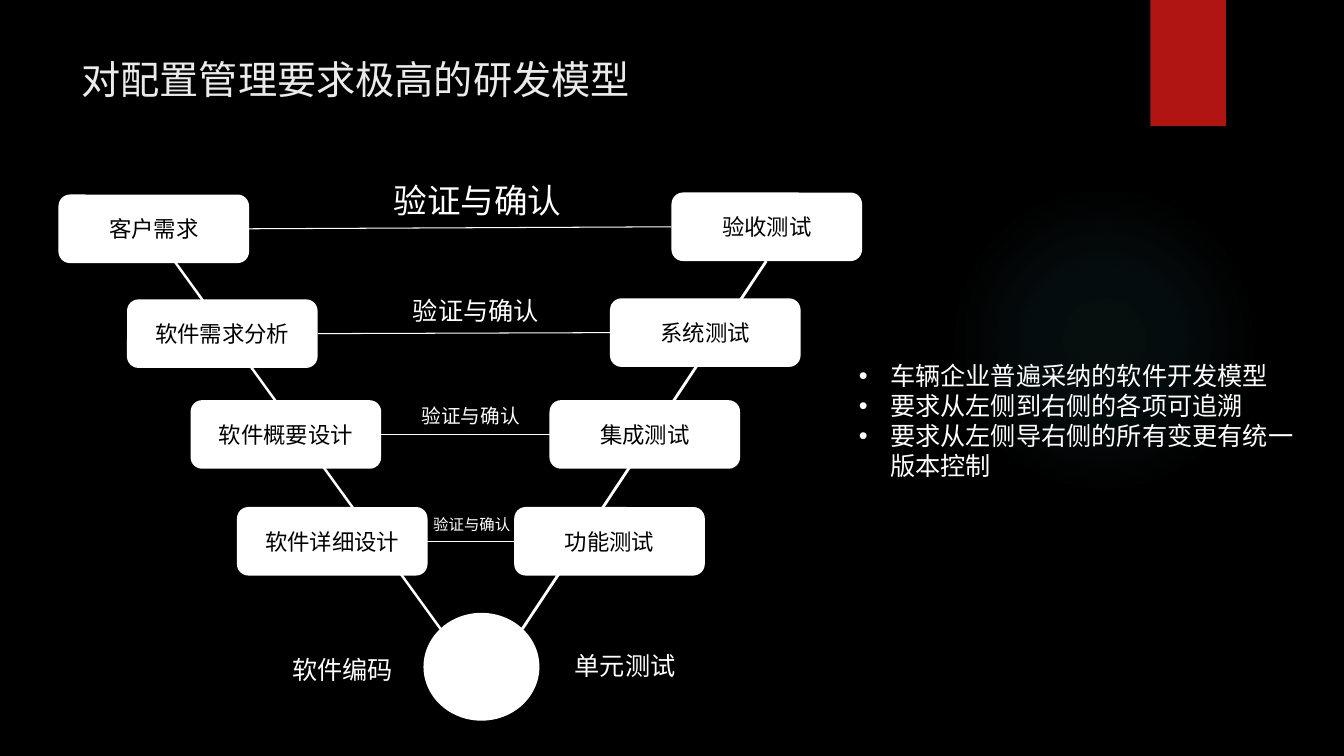
from dataclasses import dataclass
from typing import Any

from lxml.etree import SubElement
from pptx import Presentation
from pptx.dml.color import RGBColor
from pptx.enum.shapes import MSO_CONNECTOR, MSO_SHAPE
from pptx.enum.text import MSO_ANCHOR, PP_ALIGN
from pptx.oxml import parse_xml
from pptx.oxml.ns import nsdecls, qn
from pptx.util import Inches, Pt

FONT = "Noto Sans CJK SC"
BLACK, WHITE, RED, TITLE_GRAY, GLOW = "000000", "FFFFFF", "B01513", "EBEBEB", "50B9C1"
NODE_WIDTH, NODE_HEIGHT = 1.89, 0.68
LINE_PITCH = 1.19
CHECK = "验证与确认"


@dataclass(frozen=True)
class Box:
    left: float
    top: float
    width: float
    height: float

    def lengths(self) -> list[int]:
        return [Inches(v) for v in (self.left, self.top, self.width, self.height)]


@dataclass(frozen=True)
class Node:
    text: str
    left: float
    top: float

    @property
    def middle(self) -> float:
        return self.top + NODE_HEIGHT / 2


@dataclass(frozen=True)
class Level:
    """One row of the V: development stage, matching test, and the label between."""
    stage: Node
    test: Node
    check_box: Box
    check_size: float


@dataclass(frozen=True)
class Link:
    start: tuple[float, float]
    end: tuple[float, float]
    weight: float


LEVELS = [
    Level(Node("客户需求", 0.58, 1.93), Node("验收测试", 6.66, 1.91),
          Box(3.59, 1.74, 2.29, 0.5), 24),
    Level(Node("软件需求分析", 1.26, 2.97), Node("系统测试", 6.05, 2.96),
          Box(3.85, 2.88, 1.74, 0.4), 18),
    Level(Node("软件概要设计", 1.89, 3.97), Node("集成测试", 5.45, 3.97),
          Box(3.8, 3.96, 1.74, 0.34), 14),
    Level(Node("软件详细设计", 2.35, 5.03), Node("功能测试", 5.1, 5.03),
          Box(3.81, 5.06, 1.74, 0.29), 11),
]
V_SIDES = [Link((7.6, 2.59), (5.18, 6.24), 2), Link((1.52, 2.3), (4.37, 6.24), 1.75)]
CODING_LABELS = {"软件编码": Box(2.6, 6.44, 1.6, 0.4), "单元测试": Box(5.4, 6.41, 1.6, 0.4)}
REMARKS = [
    "车辆企业普遍采纳的软件开发模型",
    "要求从左侧到右侧的各项可追溯",
    "要求从左侧导右侧的所有变更有统一版本控制",
]


def rgb(color: str) -> RGBColor:
    return RGBColor.from_string(color)


def set_formats(target: Any, formats: dict[str, Any]) -> None:
    for name, value in formats.items():
        setattr(target, name, value)


def write(paragraph: Any, text: str, size: float, color: str) -> None:
    run = paragraph.add_run()
    run.text = text
    set_formats(run.font, {"size": Pt(size), "name": FONT})
    run.font.color.rgb = rgb(color)
    SubElement(run._r.get_or_add_rPr(), qn("a:ea"), typeface=FONT)


def add_block(slide: Any, kind: MSO_SHAPE, box: Box, fill: str) -> Any:
    block = slide.shapes.add_shape(kind, *box.lengths())
    block.shadow.inherit = False
    block.fill.solid()
    block.fill.fore_color.rgb = rgb(fill)
    block.line.fill.background()
    return block


def add_node(slide: Any, node: Node) -> None:
    box = Box(node.left, node.top, NODE_WIDTH, NODE_HEIGHT)
    frame = add_block(slide, MSO_SHAPE.ROUNDED_RECTANGLE, box, WHITE).text_frame
    set_formats(frame, {"word_wrap": True, "vertical_anchor": MSO_ANCHOR.MIDDLE})
    frame.paragraphs[0].alignment = PP_ALIGN.CENTER
    write(frame.paragraphs[0], node.text, 16, BLACK)


def add_text(slide: Any, box: Box, lines: list[str], size: float, color: str = WHITE,
             align: PP_ALIGN = PP_ALIGN.CENTER, bulleted: bool = False) -> None:
    frame = slide.shapes.add_textbox(*box.lengths()).text_frame
    set_formats(frame, {"word_wrap": True, "vertical_anchor": MSO_ANCHOR.TOP})
    for index, line in enumerate(lines):
        paragraph = frame.add_paragraph() if index else frame.paragraphs[0]
        set_formats(paragraph, {"alignment": align, "line_spacing": Pt(size * LINE_PITCH)})
        if bulleted:
            properties = paragraph._p.get_or_add_pPr()
            properties.set("marL", str(Inches(0.31)))
            properties.set("indent", str(-Inches(0.31)))
            SubElement(properties, qn("a:buFont"), typeface="Arial")
            SubElement(properties, qn("a:buChar"), char="•")
        write(paragraph, line, size, color)


def add_link(slide: Any, link: Link) -> None:
    ends = [Inches(v) for v in (*link.start, *link.end)]
    connector = slide.shapes.add_connector(MSO_CONNECTOR.STRAIGHT, *ends)
    connector.line.width = Pt(link.weight)
    connector.line.color.rgb = rgb(WHITE)
    SubElement(connector._element.spPr, qn("a:effectLst"))


def add_glow(slide: Any, box: Box) -> None:
    """Draw a faint circle that fades out from its centre."""
    glow = add_block(slide, MSO_SHAPE.OVAL, box, GLOW)
    stops = "".join(
        f'<a:gs pos="{position * 1000}"><a:srgbClr val="{GLOW}">'
        f'<a:alpha val="{alpha * 1000}"/></a:srgbClr></a:gs>'
        for position, alpha in ((0, 7), (36, 6), (69, 0))
    )
    gradient = parse_xml(
        f'<a:gradFill {nsdecls("a")} rotWithShape="1"><a:gsLst>{stops}</a:gsLst>'
        '<a:path path="circle"><a:fillToRect l="50000" t="50000" r="50000" b="50000"/>'
        '</a:path></a:gradFill>'
    )
    properties = glow._element.spPr
    properties.replace(properties.find(qn("a:solidFill")), gradient)


def main() -> None:
    deck = Presentation()
    set_formats(deck, {"slide_width": Inches(13.33), "slide_height": Inches(7.5)})
    slide = deck.slides.add_slide(deck.slide_layouts[6])
    slide.background.fill.solid()
    slide.background.fill.fore_color.rgb = rgb(BLACK)

    add_glow(slide, Box(9.41, 1.83, 3.08, 3.08))
    add_block(slide, MSO_SHAPE.RECTANGLE, Box(11.41, 0, 0.75, 1.25), RED)
    add_text(slide, Box(0.71, 0.5, 10.29, 0.96), ["对配置管理要求极高的研发模型"], 28,
             TITLE_GRAY, PP_ALIGN.LEFT)

    for side in V_SIDES:
        add_link(slide, side)
    for level in LEVELS:
        stage, test = level.stage, level.test
        add_node(slide, stage)
        add_node(slide, test)
        add_link(slide, Link((stage.left + NODE_WIDTH, stage.middle),
                             (test.left, test.middle), 0.75))
        add_text(slide, level.check_box, [CHECK], level.check_size)

    add_block(slide, MSO_SHAPE.OVAL, Box(4.2, 6.08, 1.15, 1.07), WHITE)
    for label, box in CODING_LABELS.items():
        add_text(slide, box, [label], 18)
    add_text(slide, Box(8.42, 3.53, 4.67, 1.31), REMARKS, 18,
             align=PP_ALIGN.LEFT, bulleted=True)
    deck.save("out.pptx")


if __name__ == "__main__":
    main()
